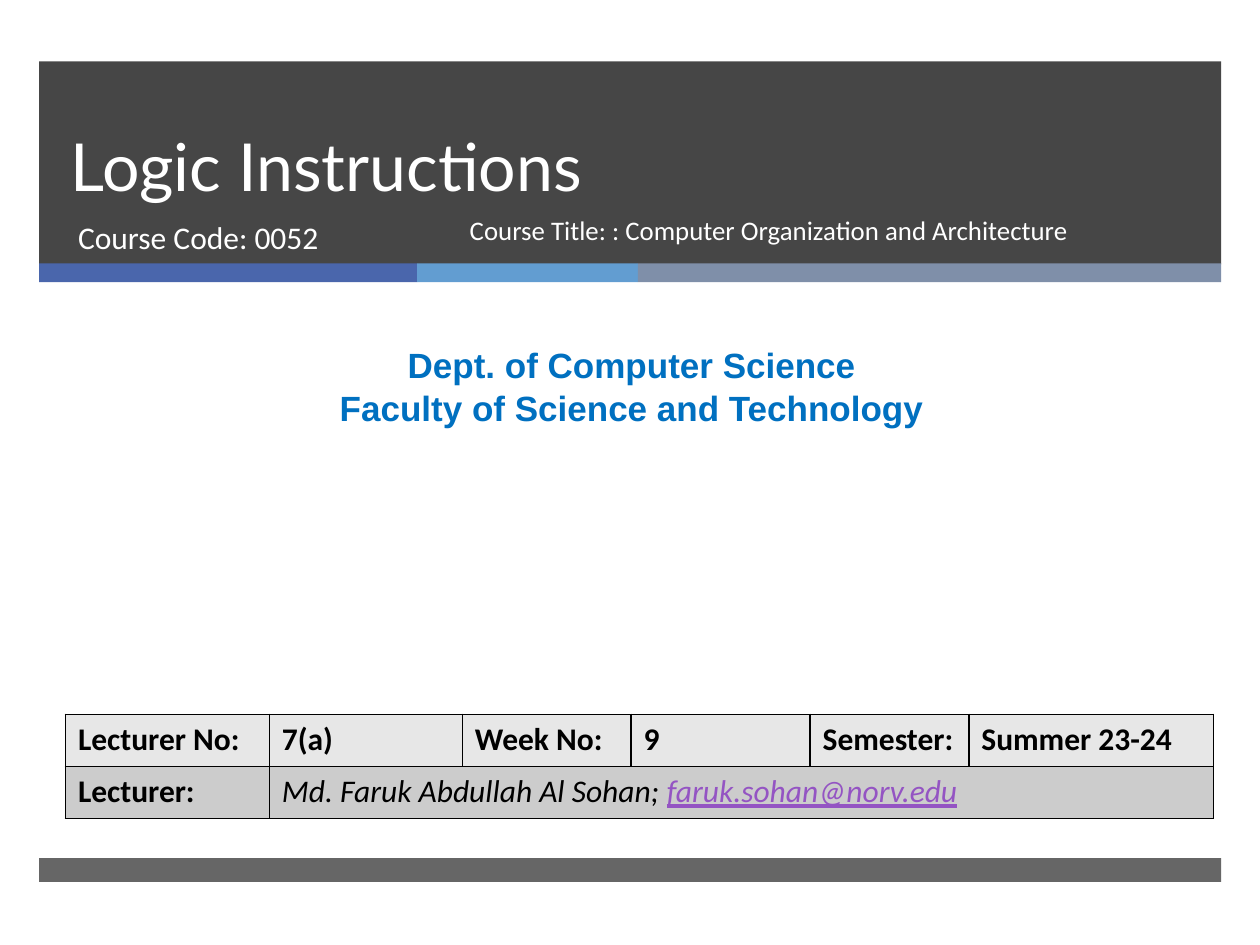
import dataclasses

import lxml.etree
import pptx
import pptx.dml.color
import pptx.enum.shapes
import pptx.enum.text
import pptx.oxml.ns
import pptx.util

Cm = pptx.util.Cm
Pt = pptx.util.Pt
ALIGN = pptx.enum.text.PP_ALIGN
ANCHOR = pptx.enum.text.MSO_ANCHOR


@dataclasses.dataclass(frozen=True)
class Theme:
    """Colours, fonts and type sizes of the slide."""
    dark: str = "262626"
    stripes: tuple = ("4A66AC", "629DD1", "7F8FA9")
    white: str = "FFFFFF"
    black: str = "000000"
    department: str = "0070C0"
    email: str = "9454C3"
    rows: tuple = ("E7E7E7", "CCCCCC")
    title_font: str = "Lato"
    body_font: str = "Calibri"
    department_font: str = "Arial"
    title_size: float = 37.8
    title_leading: float = 46
    body_size: float = 18
    course_size: float = 15.3
    department_size: float = 20
    border: float = 1


@dataclasses.dataclass(frozen=True)
class Box:
    """A rectangle in centimetres."""
    left: float
    top: float
    width: float
    height: float

    def inner(self, dx, dy, width, height):
        """Return a box offset from this one's top left corner."""
        return Box(self.left + dx, self.top + dy, width, height)

    def lengths(self):
        """Return left, top, width and height as lengths."""
        return [Cm(side) for side in dataclasses.astuple(self)]


THEME = Theme()


def rgb(value):
    """Turn a hex string into a colour."""
    return pptx.dml.color.RGBColor.from_string(value)


def add_run(paragraph, text, size, color, font=THEME.body_font, bold=False, italic=False, underline=False):
    """Append one formatted run to a paragraph."""
    run = paragraph.add_run()
    run.text = text
    run.font.name, run.font.size = font, Pt(size)
    run.font.color.rgb = rgb(color)
    run.font.bold, run.font.italic, run.font.underline = bold, italic, underline


def add_band(slide, box, color, opacity=100):
    """Draw a plain rectangle with the given opacity in percent."""
    band = slide.shapes.add_shape(pptx.enum.shapes.MSO_SHAPE.RECTANGLE, *box.lengths())
    band.shadow.inherit = False
    band.line.fill.background()
    band.fill.solid()
    band.fill.fore_color.rgb = rgb(color)
    if opacity < 100:
        tint = band.element.spPr.find(".//" + pptx.oxml.ns.qn("a:srgbClr"))
        lxml.etree.SubElement(tint, pptx.oxml.ns.qn("a:alpha"), val=str(opacity * 1000))


def prepare_text(shape, box, anchor=ANCHOR.TOP, align=ALIGN.LEFT):
    """Place a text shape on top of the slide and return its first paragraph."""
    shape.left, shape.top, shape.width, shape.height = box.lengths()
    shape.element.getparent().append(shape.element)
    frame = shape.text_frame
    frame.word_wrap = True
    frame.auto_size = pptx.enum.text.MSO_AUTO_SIZE.NONE
    frame.vertical_anchor = anchor
    paragraph = frame.paragraphs[0]
    paragraph.alignment = align
    paragraph.space_before = Pt(0)
    return paragraph


def build_header(slide, box):
    """Build the dark header with its stripes, title and course details."""
    stripe_height = 0.38
    add_band(slide, box, THEME.dark, 85)
    offset = 0
    for color, width in zip(THEME.stripes, (7.62, 4.45, 11.76)):
        add_band(slide, box.inner(offset, box.height - 0.02, width, stripe_height), color)
        offset += width

    heading = prepare_text(slide.shapes.title, box.inner(0.38, 0, 21.69, 3.02), ANCHOR.BOTTOM)
    heading.line_spacing = Pt(THEME.title_leading)
    add_run(heading, "Logic Instructions", THEME.title_size, THEME.white, THEME.title_font)

    course_code = prepare_text(slide.placeholders[1], box.inner(0.53, 3.02, 7.75, 1.35))
    add_run(course_code, "Course Code: 0052", THEME.body_size, THEME.white)

    course_box = box.inner(8.43, 3.02, 13.64, 1.35)
    course_title = prepare_text(slide.shapes.add_textbox(*course_box.lengths()), course_box)
    course_title.line_spacing = 0.9
    add_run(course_title, "Course Title: : Computer Organization and Architecture",
            THEME.course_size, THEME.white)


def build_department(slide, box):
    """Build the centred department and faculty lines."""
    department = slide.shapes.add_textbox(*box.lengths())
    paragraph = prepare_text(department, box, align=ALIGN.CENTER)
    for index, line in enumerate(("Dept. of Computer Science", "Faculty of Science and Technology")):
        if index:
            paragraph = department.text_frame.add_paragraph()
            paragraph.alignment = ALIGN.CENTER
        add_run(paragraph, line, THEME.department_size, THEME.department,
                THEME.department_font, bold=True)


def format_cell(cell, fill):
    """Give a cell black borders on all sides and a solid fill."""
    properties = cell._tc.get_or_add_tcPr()
    for side in ("a:lnL", "a:lnR", "a:lnT", "a:lnB"):
        border = lxml.etree.SubElement(properties, pptx.oxml.ns.qn(side), w=str(Pt(THEME.border)))
        paint = lxml.etree.SubElement(border, pptx.oxml.ns.qn("a:solidFill"))
        lxml.etree.SubElement(paint, pptx.oxml.ns.qn("a:srgbClr"), val=THEME.black)
    cell.fill.solid()
    cell.fill.fore_color.rgb = rgb(fill)


def build_lecture_table(slide, box):
    """Build the table of lecture details."""
    labels = (("Lecturer No:", "7(a)", "Week No:", "9", "Semester:", "Summer 23-24"), ("Lecturer:",))
    widths = (4.11, 3.89, 3.4, 3.61, 3.2, 4.93)
    lecture = slide.shapes.add_table(len(labels), len(widths), *box.lengths()).table
    lecture.first_row = lecture.horz_banding = False
    for column, width in zip(lecture.columns, widths):
        column.width = Cm(width)
    lecture.cell(1, 1).merge(lecture.cell(1, len(widths) - 1))
    for row, (texts, fill) in enumerate(zip(labels, THEME.rows)):
        for column in range(len(widths)):
            format_cell(lecture.cell(row, column), fill)
        for column, text in enumerate(texts):
            add_run(lecture.cell(row, column).text_frame.paragraphs[0], text,
                    THEME.body_size, THEME.black, bold=True)
    lecturer = lecture.cell(1, 1).text_frame.paragraphs[0]
    add_run(lecturer, "Md. Faruk Abdullah Al Sohan; ", THEME.body_size, THEME.black, italic=True)
    add_run(lecturer, "faruk.sohan@norv.edu", THEME.body_size, THEME.email, italic=True, underline=True)


def build_footer(slide, box):
    """Build the grey band at the foot of the slide."""
    add_band(slide, box, THEME.dark, 70)


def main():
    """Build the title slide and save it."""
    deck = pptx.Presentation()
    deck.slide_width, deck.slide_height = Cm(25.4), Cm(19.05)
    slide = deck.slides.add_slide(deck.slide_layouts[0])
    build_header(slide, Box(0.79, 1.24, 23.83, 4.09))
    build_department(slide, Box(0.2, 6.81, 25.07, 1.96))
    build_lecture_table(slide, Box(1.32, 14.4, 23.14, 2.1))
    build_footer(slide, Box(0.79, 17.3, 23.83, 0.48))
    deck.save("out.pptx")


if __name__ == "__main__":
    main()
